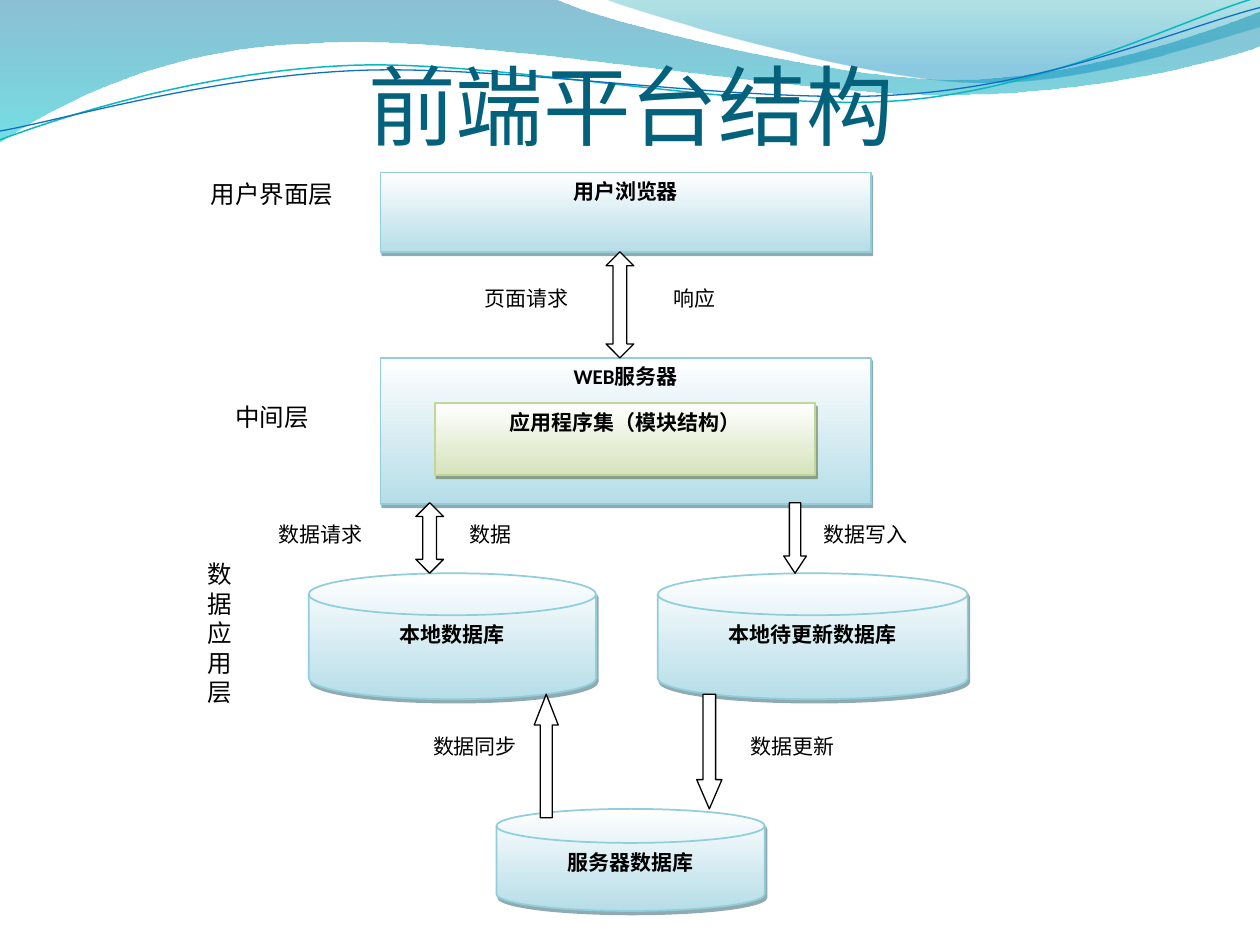
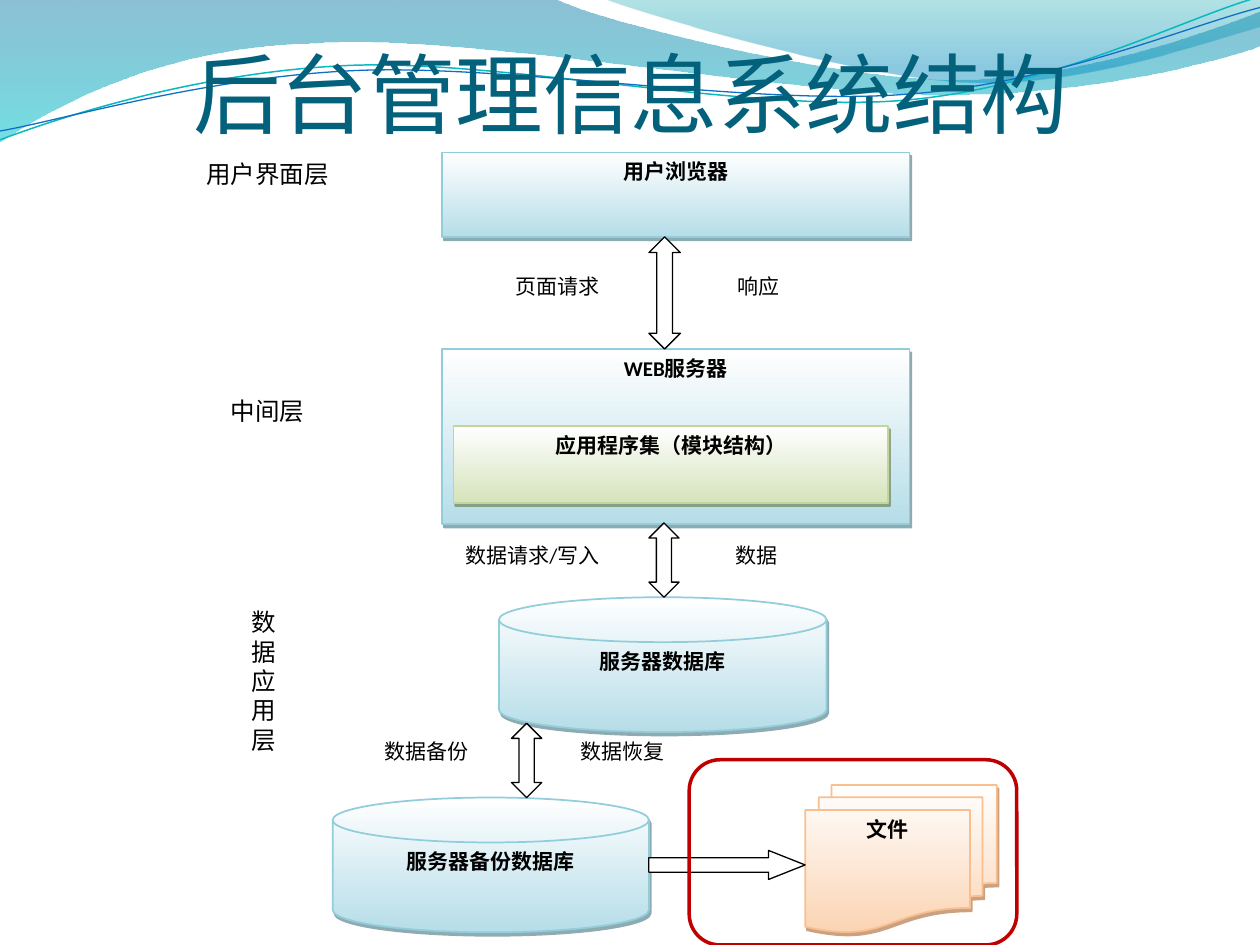
from pptx import Presentation
from pptx.dml.color import RGBColor
from pptx.enum.shapes import MSO_SHAPE
from pptx.enum.text import MSO_ANCHOR, PP_ALIGN
from pptx.oxml.ns import qn
from pptx.util import Inches, Pt
from lxml.etree import SubElement

FONT = "Calibri"
WHITE, BLACK, TITLE_COLOR, FRAME_COLOR = "FFFFFF", "000000", "04617B", "C00000"
LABEL_SIZE, LAYER_SIZE, TITLE_SIZE = 12, 14, 50

# Node themes: bottom of the gradient, outline, shadow
THEMES = {
    "blue": ("B6DDE8", "92CDDC", "205867"),
    "green": ("D6E3BC", "C2D69B", "4E6128"),
    "orange": ("FBD4B4", "FABF8F", "974706"),
}
BOX, DISK = MSO_SHAPE.RECTANGLE, MSO_SHAPE.FLOWCHART_MAGNETIC_DISK
FILES = MSO_SHAPE.FLOWCHART_MULTIDOCUMENT
BOTH, UP = MSO_SHAPE.UP_DOWN_ARROW, MSO_SHAPE.UP_ARROW
DOWN, RIGHT = MSO_SHAPE.DOWN_ARROW, MSO_SHAPE.RIGHT_ARROW

# Header waves: one point is a line end, three points are a curve
BANDS = [
    {"start": (0, 0),
     "steps": [[(4.4, -0.01)],
               [(4.76, 0.17), (6.64, 0.63), (7.58, 0.63)],
               [(8.53, 0.63), (9.58, 0.26), (10, 0.09)],
               [(10.01, 0.36)],
               [(9.83, 0.44), (8.7, 0.76), (7.46, 0.75)],
               [(6.22, 0.75), (3.82, 0.28), (2.57, 0.34)],
               [(1.29, 0.36), (0.46, 0.83), (-0.01, 1.13)]],
     "stops": [(0, "0074A1", 45), (1, "00C6CF", 55)]},
    {"start": (4.79, -0.01),
     "steps": [[(5.09, 0.11), (6.82, 0.62), (7.69, 0.65)],
               [(8.56, 0.69), (9.61, 0.32), (10, 0.21)],
               [(10, 0)]],
     "stops": [(0, "00A1A9", 30), (0.8, "008BBF", 45)]},
    {"start": (0, 1.11),
     "steps": [[(0.48, 0.93), (1.58, 0.57), (2.77, 0.52)],
               [(3.95, 0.47), (5.93, 0.89), (7.13, 0.8)],
               [(8.33, 0.71), (9.38, 0.15), (9.98, -0.02)]],
     "line": ("0AB8BF", 0.85)},
    {"start": (0, 1.04),
     "steps": [[(0.47, 0.96), (1.64, 0.61), (2.83, 0.56)],
               [(4.03, 0.51), (5.97, 0.84), (7.17, 0.75)],
               [(8.36, 0.67), (9.41, 0.21), (10, 0.06)]],
     "line": ("0F6FC6", 0.75)},
]

# layers: text, left, top, width, height
# label_rows: top, height, [(text, left, width)]
# nodes: shape, theme, text, left, top, width, height
# arrows: shape, head length, left, top, width, height
SLIDES = [
    {"title": "前端平台结构", "title_height": 1.25,
     "layers": [("用户界面层", 1.3, 1.37, 1.72, 0.63),
                ("中间层", 1.3, 3.14, 1.72, 0.63),
                ("数据应用层", 1.46, 4.39, 0.57, 3.11)],
     "label_rows": [
         (2.22, 0.5, [("页面请求", 3.62, 1.12), ("响应", 4.96, 1.1)]),
         (4.09, 0.54, [("数据请求", 1.79, 1.51), ("数据", 3.3, 1.19),
                       ("数据写入", 6.3, 1.14)]),
         (5.77, 0.5, [("数据同步", 3.23, 1.08), ("数据更新", 5.66, 1.26)])],
     "nodes": [
         (BOX, "blue", "用户浏览器", 3.02, 1.37, 3.89, 0.63),
         (BOX, "blue", "WEB服务器", 3.02, 2.84, 3.89, 1.16),
         (BOX, "green", "应用程序集（模块结构）", 3.45, 3.2, 3.02, 0.57),
         (DISK, "blue", "本地数据库", 2.45, 4.55, 2.28, 1),
         (DISK, "blue", "本地待更新数据库", 5.22, 4.55, 2.46, 1),
         (DISK, "blue", "服务器数据库", 3.94, 6.42, 2.13, 0.81)],
     "arrows": [
         (BOTH, 0.77, 4.81, 2, 0.22, 0.84),
         (DOWN, 0.76, 6.22, 3.99, 0.18, 0.56),
         (BOTH, 0.52, 3.3, 3.99, 0.22, 0.56),
         (DOWN, 1.16, 5.53, 5.51, 0.2, 0.91),
         (UP, 1.28, 4.24, 5.51, 0.19, 0.98)],
     "frames": []},
    {"title": "后台管理信息系统结构", "title_height": 1.15,
     "layers": [("用户界面层", 1.14, 1.21, 1.97, 0.67),
                ("中间层", 1.14, 3.09, 1.97, 0.67),
                ("数\n据\n应\n用\n层", 1.77, 4.77, 0.65, 2.44)],
     "label_rows": [
         (2.12, 0.53, [("页面请求", 3.79, 1.27), ("响应", 5.39, 1.26)]),
         (4.26, 0.57, [("数据请求/写入", 3.3, 1.85), ("数据", 5.5, 1.01)]),
         (5.81, 0.57, [("数据备份", 2.46, 1.85), ("数据恢复", 4.21, 1.46)])],
     "nodes": [
         (BOX, "blue", "用户浏览器", 3.51, 1.21, 3.71, 0.67),
         (BOX, "blue", "WEB服务器", 3.51, 2.77, 3.71, 1.39),
         (BOX, "green", "应用程序集（模块结构）", 3.6, 3.38, 3.45, 0.61),
         (DISK, "blue", "服务器数据库", 3.96, 4.74, 2.6, 1.07),
         (DISK, "blue", "服务器备份数据库", 2.64, 6.33, 2.51, 1.07),
         (FILES, "orange", "文件", 6.39, 6.23, 1.52, 1.17)],
     "arrows": [
         (BOTH, 0.77, 5.15, 1.88, 0.25, 0.89),
         (BOTH, 0.52, 5.15, 4.15, 0.24, 0.59),
         (BOTH, 0.52, 4.06, 5.74, 0.24, 0.59),
         (RIGHT, 1.26, 5.15, 6.75, 1.24, 0.23)],
     "frames": [(5.47, 6.03, 2.6, 1.47)]},
]


def rgb(color):
    return RGBColor.from_string(color)


def set_line(shape, color=None, width=1):
    if color is None:
        shape.line.fill.background()
    else:
        shape.line.color.rgb = rgb(color)
        shape.line.width = Pt(width)


def set_fill(shape, color=None):
    if color is None:
        shape.fill.background()
    else:
        shape.fill.solid()
        shape.fill.fore_color.rgb = rgb(color)


def set_gradient(shape, stops):
    """Fill from top to bottom with (position, color, opacity) stops."""
    shape.fill.gradient()
    shape.fill.gradient_angle = 270
    for stop, (position, color, _) in zip(shape.fill.gradient_stops, stops):
        stop.position = position
        stop.color.rgb = rgb(color)
    gradient = shape._element.spPr.find(qn("a:gradFill"))
    for element, (_, _, opacity) in zip(gradient.iter(qn("a:srgbClr")), stops):
        if opacity < 100:
            SubElement(element, qn("a:alpha"), val=str(opacity * 1000))


def add_shadow(shape, color):
    effects = shape._element.spPr.find(qn("a:effectLst"))
    shadow = SubElement(effects, qn("a:outerShdw"), dist=str(Pt(2.2)),
                        dir=str(63 * 60000), algn="ctr", rotWithShape="0")
    shadow_color = SubElement(shadow, qn("a:srgbClr"), val=color)
    SubElement(shadow_color, qn("a:alpha"), val="50000")


def write_text(shape, text, size, color=BLACK, bold=False, anchor=MSO_ANCHOR.TOP):
    frame = shape.text_frame
    frame.word_wrap = True
    frame.vertical_anchor = anchor
    for index, line in enumerate(text.split("\n")):
        paragraph = frame.add_paragraph() if index else frame.paragraphs[0]
        paragraph.alignment = PP_ALIGN.CENTER
        run = paragraph.add_run()
        run.text = line
        run.font.name = FONT
        run.font.size = Pt(size)
        run.font.bold = bold
        run.font.color.rgb = rgb(color)


def add_plain(slide, kind, place, fill=None, line=None, width=1):
    shape = slide.shapes.add_shape(kind, *map(Inches, place))
    shape.shadow.inherit = False
    set_fill(shape, fill)
    set_line(shape, line, width)
    return shape


def bend_segments(shape, steps):
    """Turn each straight segment that has control points into a curve."""
    segments = list(shape._element.spPr.iter(qn("a:lnTo")))
    for segment, points in zip(segments, steps):
        if len(points) == 3:
            curve = segment.makeelement(qn("a:cubicBezTo"))
            for x, y in points:
                SubElement(curve, qn("a:pt"), x=str(Inches(x) - shape.left),
                           y=str(Inches(y) - shape.top))
            segment.getparent().replace(segment, curve)


def add_band(slide, band):
    ends = [band["start"]] + [step[-1] for step in band["steps"]]
    first, *rest = [(Inches(x), Inches(y)) for x, y in ends]
    builder = slide.shapes.build_freeform(*first)
    builder.add_line_segments(rest, close="stops" in band)
    shape = builder.convert_to_shape()
    bend_segments(shape, band["steps"])
    shape.shadow.inherit = False
    if "stops" in band:
        set_gradient(shape, band["stops"])
        set_line(shape)
    else:
        set_fill(shape)
        set_line(shape, *band["line"])


def add_title(slide, text, height):
    box = slide.shapes.add_textbox(Inches(0.51), 0, Inches(9), Inches(height))
    frame = box.text_frame
    frame.margin_left = frame.margin_right = frame.margin_bottom = 0
    frame.margin_top = Inches(0.05)
    write_text(box, text, TITLE_SIZE, TITLE_COLOR, anchor=MSO_ANCHOR.BOTTOM)


def add_label(slide, text, size, *place):
    write_text(add_plain(slide, BOX, place, WHITE), text, size)


def add_node(slide, kind, theme, text, *place):
    bottom, outline, shadow = THEMES[theme]
    shape = add_plain(slide, kind, place, line=outline)
    set_gradient(shape, [(0, WHITE, 100), (1, bottom, 100)])
    add_shadow(shape, shadow)
    write_text(shape, text, LABEL_SIZE, bold=True)


def add_arrow(slide, kind, head, *place):
    arrow = add_plain(slide, kind, place, WHITE, BLACK, 0.75)
    # The double arrow takes its head length first, the others their shaft
    values = (head, 0.5) if kind == BOTH else (0.5, head)
    for index, value in enumerate(values):
        arrow.adjustments[index] = value


def build_slide(presentation, content):
    slide = presentation.slides.add_slide(presentation.slide_layouts[6])
    for band in BANDS:
        add_band(slide, band)
    add_title(slide, content["title"], content["title_height"])
    # Labels lie below the diagram parts
    for top, height, labels in content["label_rows"]:
        for text, left, width in labels:
            add_label(slide, text, LABEL_SIZE, left, top, width, height)
    for text, *place in content["layers"]:
        add_label(slide, text, LAYER_SIZE, *place)
    for node in content["nodes"]:
        add_node(slide, *node)
    for arrow in content["arrows"]:
        add_arrow(slide, *arrow)
    for place in content["frames"]:
        add_plain(slide, MSO_SHAPE.ROUNDED_RECTANGLE, place, line=FRAME_COLOR, width=2)


def main():
    presentation = Presentation()
    presentation.slide_width = Inches(10)
    presentation.slide_height = Inches(7.5)
    for content in SLIDES:
        build_slide(presentation, content)
    presentation.save("out.pptx")


if __name__ == "__main__":
    main()
